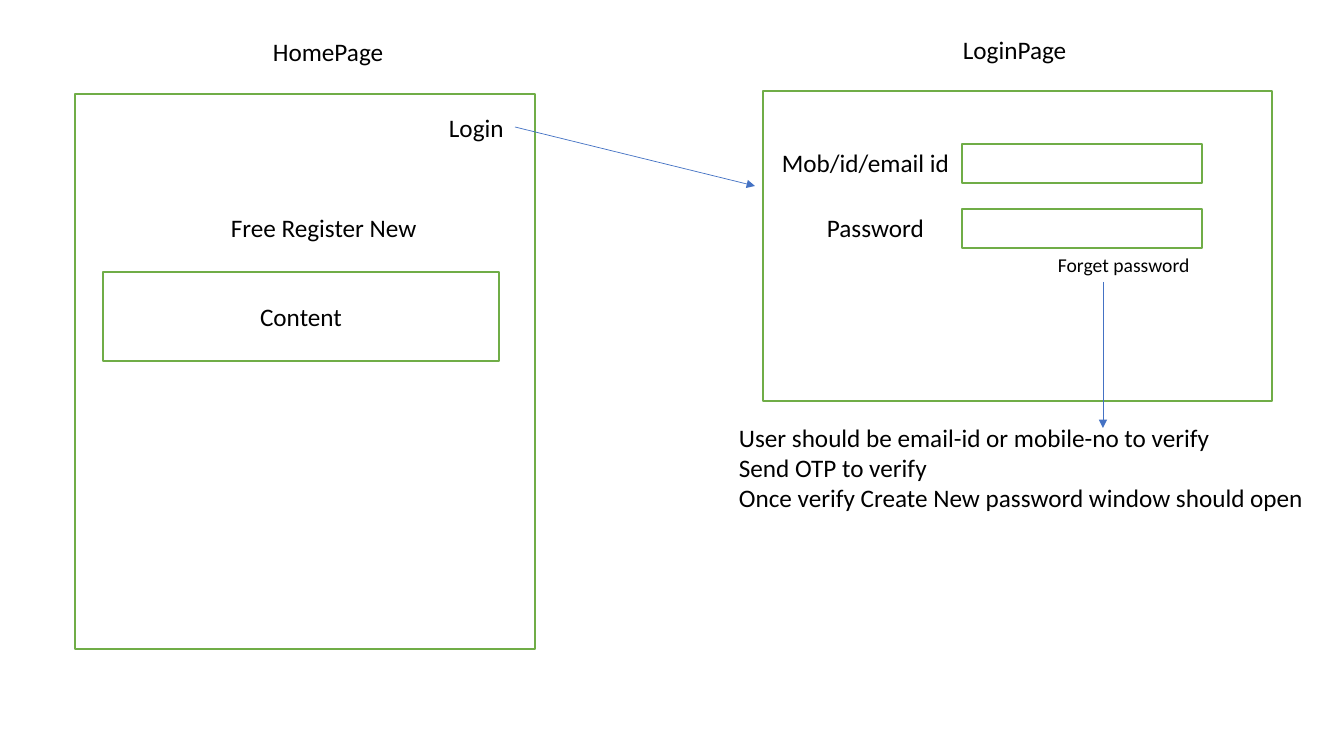
import pptx
import pptx.util
import pptx.dml.color
import pptx.enum.text
import pptx.enum.shapes
import pptx.oxml.ns
import lxml.etree

RGB = pptx.dml.color.RGBColor
WHITE = RGB(0xFF, 0xFF, 0xFF)
BLACK = RGB(0, 0, 0)
GREEN = RGB(0x70, 0xAD, 0x47)
BLUE = RGB(0x44, 0x72, 0xC4)
ALIGN = pptx.enum.text.PP_ALIGN
ANCHOR = pptx.enum.text.MSO_ANCHOR
SCALE = 914400 / 100.8


def px(*nums):
    return [round(num * SCALE) for num in nums]


def write(shape, text, size=18, align=ALIGN.LEFT, anchor=ANCHOR.TOP, wrap=False):
    frame = shape.text_frame
    frame.word_wrap = wrap
    frame.vertical_anchor = anchor
    frame.text = text
    for para in frame.paragraphs:
        para.alignment = align
        font = para.runs[0].font
        font.name = "Calibri"
        font.size = pptx.util.Pt(size)
        font.color.rgb = BLACK


deck = pptx.Presentation()
deck.slide_width, deck.slide_height = px(1344, 756)
slide = deck.slides.add_slide(deck.slide_layouts[6])
shapes = slide.shapes

boxes = {}
for name, area in [
    ("home", (75, 94, 460, 555)),
    ("content", (103, 272, 396, 89)),
    ("login", (763, 91, 509, 310)),
    ("user", (962, 144, 240, 39)),
    ("password", (962, 209, 240, 39)),
]:
    box = shapes.add_shape(pptx.enum.shapes.MSO_SHAPE.RECTANGLE, *px(*area))
    box.shadow.inherit = False
    box.fill.solid()
    box.fill.fore_color.rgb = WHITE
    box.line.color.rgb = GREEN
    box.line.width = pptx.util.Pt(1)
    boxes[name] = box
write(boxes["content"], "Content", align=ALIGN.CENTER, anchor=ANCHOR.MIDDLE, wrap=True)

steps = "\n".join([
    "User should be email-id or mobile-no to verify",
    "Send OTP to verify",
    "Once verify Create New password window should open",
])
for text, area, size in [
    ("HomePage", (263, 31, 132, 40), 18),
    ("Login", (439, 107, 76, 40), 18),
    ("Free Register New", (221, 207, 220, 40), 18),
    ("LoginPage", (953, 29, 125, 40), 18),
    ("Mob/id/email id", (772, 142, 190, 40), 18),
    ("Password", (817, 207, 118, 40), 18),
    ("Forget password", (1048, 248, 153, 34), 14),
    (steps, (729, 417, 592, 132), 18),
]:
    label = shapes.add_textbox(*px(*area))
    write(label, text, size=size, wrap=text == "Free Register New")

for ends in [(515, 127, 755, 186), (1103, 282, 1103, 428)]:
    arrow = shapes.add_connector(pptx.enum.shapes.MSO_CONNECTOR.STRAIGHT, *px(*ends))
    arrow.line.color.rgb = BLUE
    arrow.line.width = pptx.util.Pt(0.5)
    line = arrow.line._get_or_add_ln()
    lxml.etree.SubElement(line, pptx.oxml.ns.qn("a:tailEnd"), type="triangle")
    lxml.etree.SubElement(arrow._element.spPr, pptx.oxml.ns.qn("a:effectLst"))

deck.save("out.pptx")
